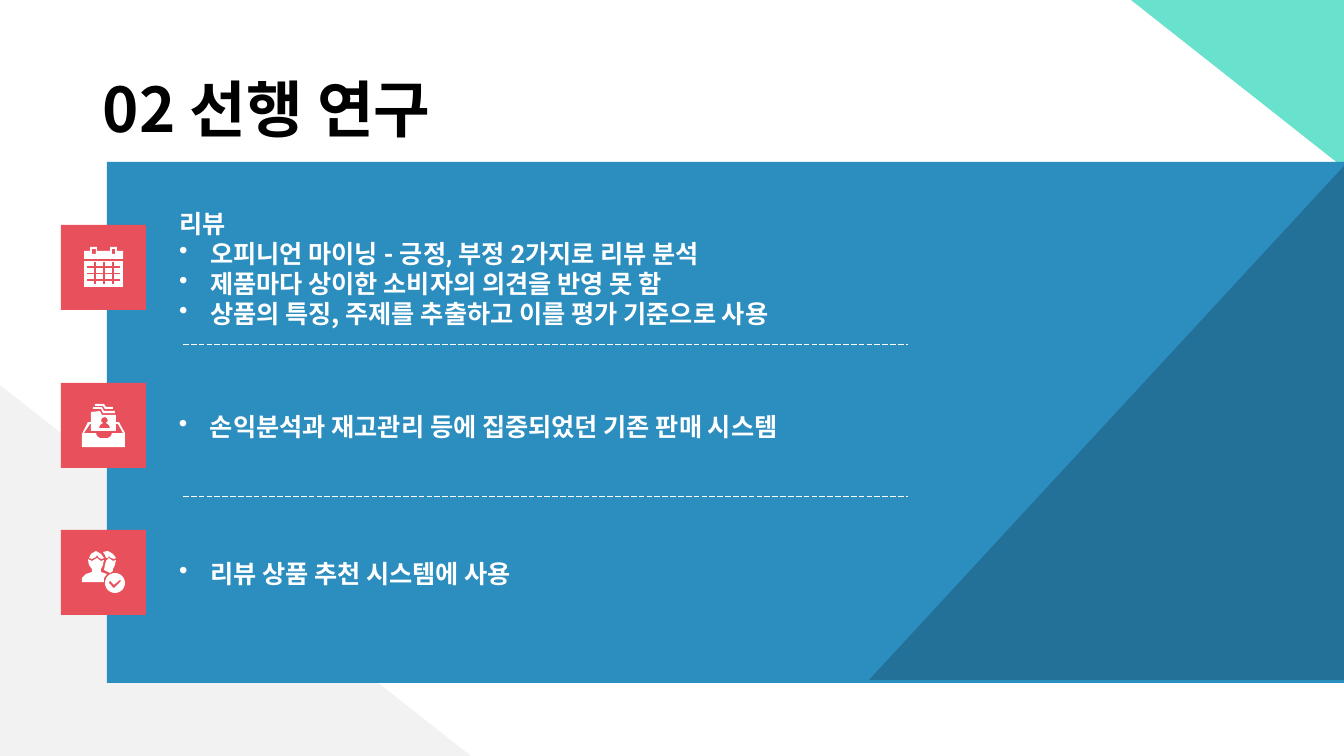
"""Build the prior-research slide: a blue panel with three icon rows."""
from lxml import etree
from pptx import Presentation
from pptx.dml.color import RGBColor
from pptx.enum.dml import MSO_LINE
from pptx.enum.shapes import MSO_CONNECTOR, MSO_SHAPE
from pptx.enum.text import MSO_ANCHOR
from pptx.oxml.ns import qn
from pptx.util import Pt

PX = 12192000 / 1344
FONT = "Noto Sans CJK KR"
COLORS = {name: RGBColor.from_string(value) for name, value in {
    "white": "FFFFFF", "black": "000000", "gray": "F2F2F2",
    "mint": "69E2CD", "blue": "2C8DBF", "red": "E8505B",
}.items()}

prs = Presentation()
prs.slide_width = round(1344 * PX)
prs.slide_height = round(756 * PX)
s = prs.slides.add_slide(prs.slide_layouts[6])


def paint(sp, color):
    sp.shadow.inherit = False
    sp.fill.solid()
    sp.fill.fore_color.rgb = COLORS[color]
    sp.line.fill.background()
    return sp


def add_line(x1, y1, x2, y2, color, width):
    line = s.shapes.add_connector(
        MSO_CONNECTOR.STRAIGHT, *(round(v * PX) for v in (x1, y1, x2, y2)))
    line.line.color.rgb = COLORS[color]
    line.line.width = Pt(width)
    etree.SubElement(line._element.spPr, qn("a:effectLst"))
    return line


BLOCKS = [
    (MSO_SHAPE.RIGHT_TRIANGLE, (0, 385, 471, 371), "gray"),
    (MSO_SHAPE.RIGHT_TRIANGLE, (1131, 0, 213, 168), "mint"),
    (MSO_SHAPE.RECTANGLE, (107, 162, 1237, 521), "blue"),
    (MSO_SHAPE.ISOSCELES_TRIANGLE, (869, 166, 475, 514), "black"),
    (MSO_SHAPE.RECTANGLE, (61, 225, 85, 85), "red"),
    (MSO_SHAPE.RECTANGLE, (61, 383, 85, 85), "red"),
    (MSO_SHAPE.RECTANGLE, (61, 530, 85, 85), "red"),
    (MSO_SHAPE.RECTANGLE, (84, 261, 39, 26), "white"),
    (MSO_SHAPE.OVAL, (105, 573, 20, 20), "white"),
]
for kind, box, color in BLOCKS:
    sp = paint(s.shapes.add_shape(kind, *(round(v * PX) for v in box)), color)
    if color == "mint":
        sp.rotation = 180
    if color == "black":
        sp.adjustments[0] = 1
        tint = sp.fill._xPr.find(qn("a:solidFill"))[0]
        etree.SubElement(tint, qn("a:alpha"), val="20000")

for y in (344, 496):
    add_line(183, y, 908, y, "white", 0.5).line.dash_style = MSO_LINE.LONG_DASH

for i in range(3):
    add_line(87, 267 + 6.5 * i, 120, 267 + 6.5 * i, "red", 1)
    add_line(95 + 9 * i, 262, 95 + 9 * i, 284, "red", 1)

calendar_top = [
    [(84, 251), (90, 251), (90, 247), (97, 247), (97, 251), (110, 251),
     (110, 247), (117, 247), (117, 251), (123, 251), (123, 259), (84, 259)],
    [(92, 249), (96, 249), (96, 254), (92, 254)],
    [(112, 249), (115, 249), (115, 254), (112, 254)],
]
tray = [
    [(82, 434), (88, 422), (91, 422), (91, 412), (100, 411), (102, 415),
     (116, 415), (116, 422), (119, 422), (125, 433), (125, 447), (82, 447)],
    [(84, 433), (90, 424), (91, 424), (91, 431), (116, 431), (116, 424),
     (118, 424), (123, 433), (112, 433), (111, 436), (108, 438), (100, 438),
     (97, 436), (96, 433)],
    [(99, 428), (100, 425), (103, 423), (101, 421), (102, 418), (105, 417),
     (107, 418), (108, 421), (106, 423), (109, 425), (110, 428)],
]
front_sheet = [[(93, 407), (102, 407), (104, 411), (115, 411), (115, 413),
                (103, 413), (101, 409), (93, 409)]]
back_sheet = [[(95, 404), (104, 404), (106, 407), (113, 407), (113, 409),
               (105, 409), (103, 406), (95, 406)]]
back_hair = [[(103, 552), (108, 551), (113, 554), (116, 558), (114, 559),
              (111, 558), (109, 556), (108, 558), (106, 558), (105, 555)]]
front_hair = [[(89, 558), (91, 554), (96, 551), (101, 554), (104, 558),
               (102, 559), (99, 558), (97, 555), (96, 557), (92, 559)]]
front_body = [[(88, 559), (92, 561), (97, 558), (101, 561), (104, 560),
               (103, 565), (101, 569), (101, 572), (107, 574), (104, 578),
               (104, 582), (82, 582), (82, 578), (86, 574), (92, 572),
               (92, 569), (89, 565)]]
back_body = [[(106, 561), (109, 558), (113, 561), (116, 560), (115, 565),
              (113, 569), (113, 571), (110, 573), (104, 570), (105, 565)]]
check = [[(110, 581), (114, 585), (120, 580), (121, 581), (114, 588),
          (109, 583)]]
OUTLINES = [
    (calendar_top, "white"), (tray, "white"), (front_sheet, "white"),
    (back_sheet, "white"), (back_hair, "white"), (front_hair, "white"),
    (front_body, "white"), (back_body, "white"), (check, "red"),
]
for contours, color in OUTLINES:
    pen = s.shapes.build_freeform(*contours[0][0], scale=PX)
    for i, points in enumerate(contours):
        if i:
            pen.move_to(*points[0])
        pen.add_line_segments(points[1:], close=True)
    paint(pen.convert_to_shape(), color)

TEXTS = [
    ((103, 40, 1139, 146), 44, "black", [("02 선행 연구", False, FONT)]),
    ((179, 227, 685, 83), 18, "white", [
        ("리뷰", False, FONT),
        ("오피니언 마이닝 - 긍정, 부정 2가지로 리뷰 분석", True, "Roboto"),
        ("제품마다 상이한 소비자의 의견을 반영 못 함", True, FONT),
        ("상품의 특징, 주제를 추출하고 이를 평가 기준으로 사용", True, FONT)]),
    ((179, 385, 708, 83), 18, "white", [
        ("손익분석과 재고관리 등에 집중되었던 기존 판매 시스템", True, FONT)]),
    ((179, 532, 592, 83), 18, "white", [
        ("리뷰 상품 추천 시스템에 사용", True, "Roboto")]),
]
for box, size, color, lines in TEXTS:
    tf = s.shapes.add_textbox(*(round(v * PX) for v in box)).text_frame
    tf.word_wrap = True
    tf.vertical_anchor = MSO_ANCHOR.MIDDLE
    tf.margin_left = tf.margin_right = tf.margin_top = tf.margin_bottom = 0
    for i, (text, bulleted, font) in enumerate(lines):
        p = tf.paragraphs[0] if i == 0 else tf.add_paragraph()
        p.text = text
        p.font.name = font
        p.font.size = Pt(size)
        p.font.bold = True
        p.font.color.rgb = COLORS[color]
        if size == 44:
            p.line_spacing = 0.9
        pPr = p._p.get_or_add_pPr()
        etree.SubElement(pPr.find(qn("a:defRPr")), qn("a:ea"), typeface=FONT)
        if bulleted:
            pPr.set("marL", str(round(31 * PX)))
            pPr.set("indent", str(round(-31 * PX)))
            bullet = etree.Element(qn("a:buChar"), char="•")
            pPr.find(qn("a:defRPr")).addprevious(bullet)

prs.save("out.pptx")
